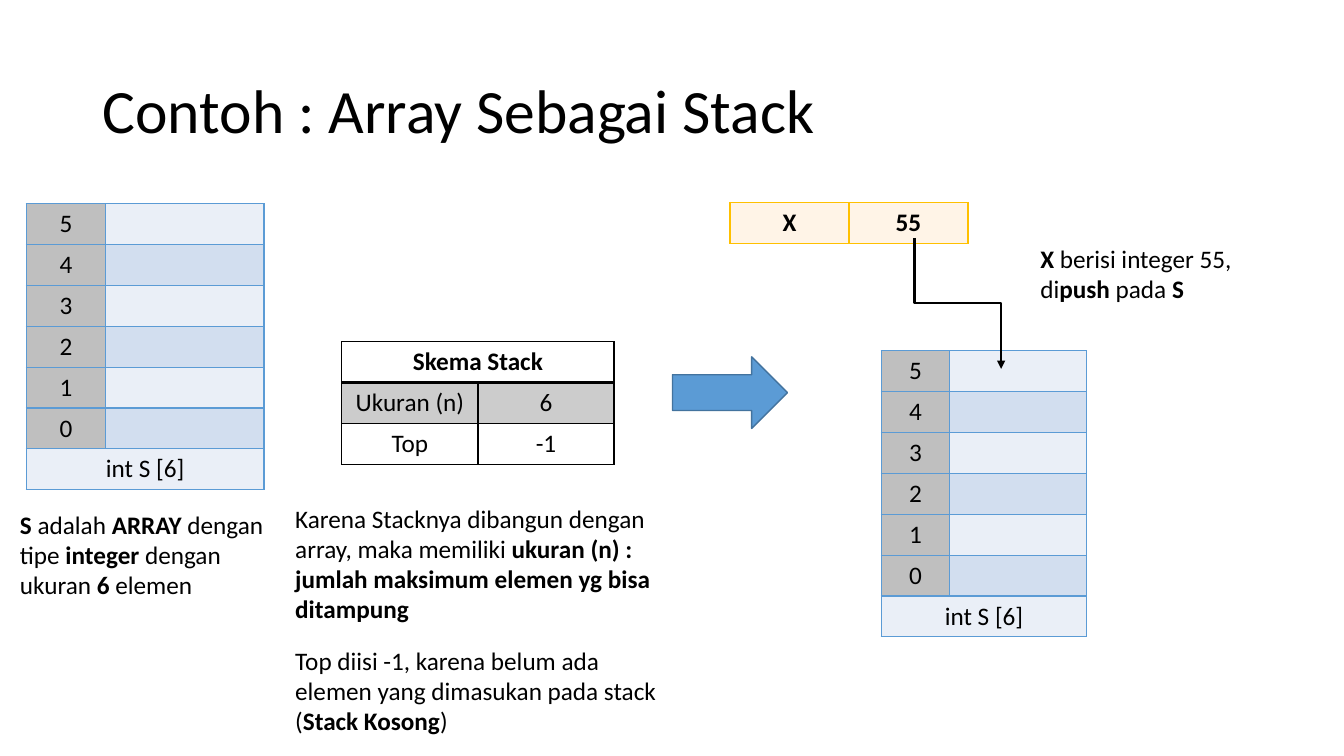
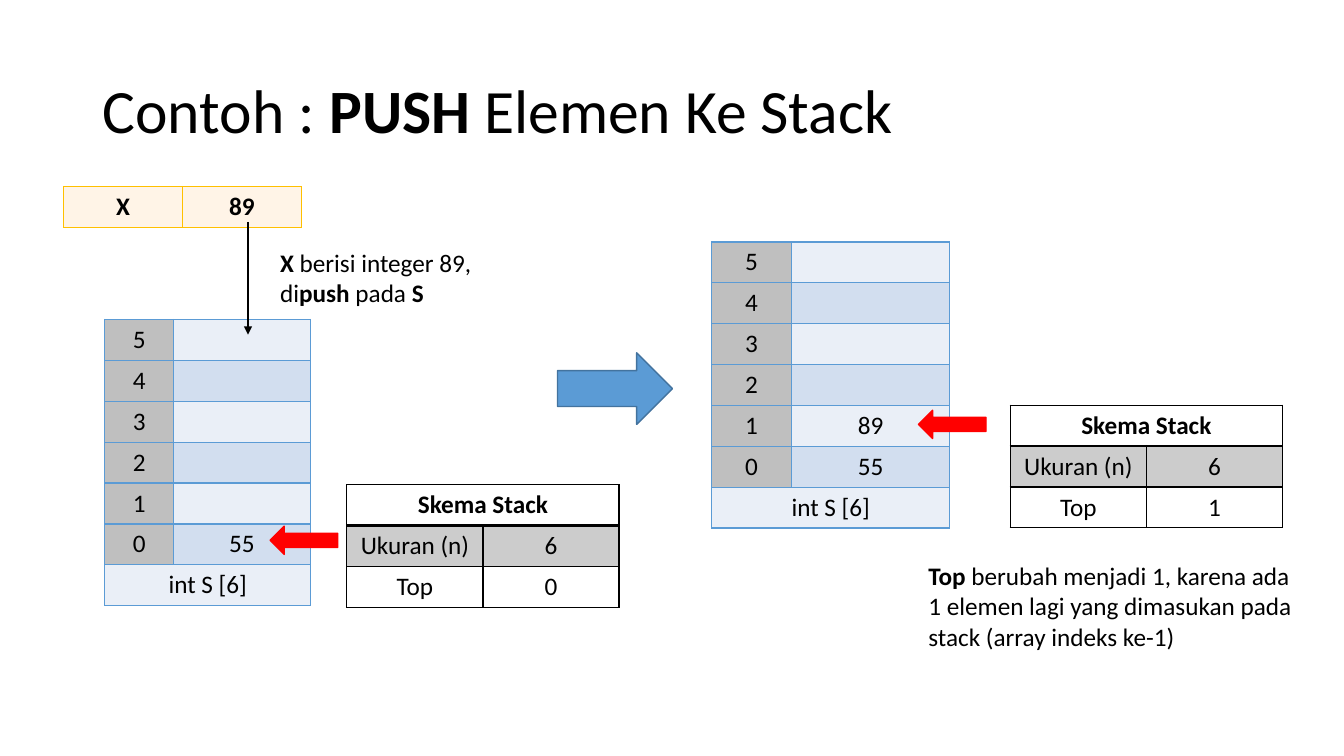
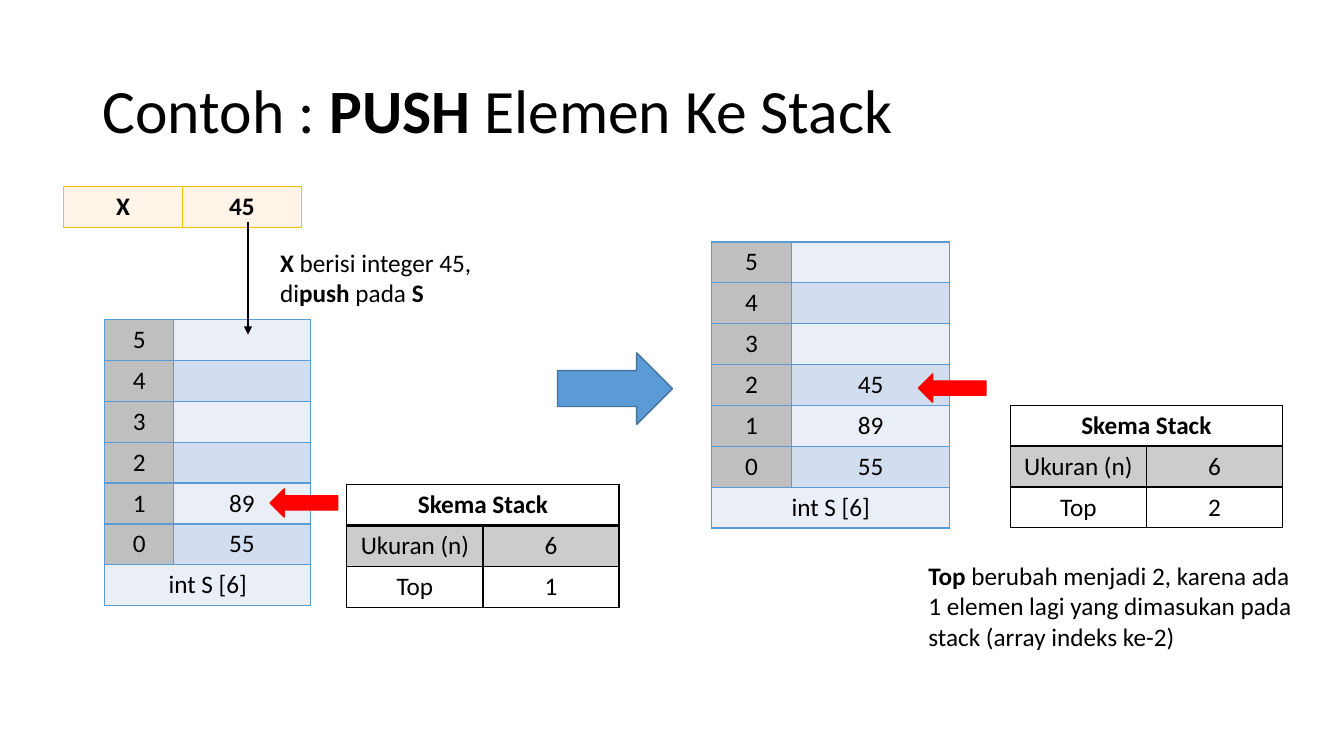
from lxml import etree
from pptx import Presentation
from pptx.dml.color import RGBColor
from pptx.enum.shapes import MSO_CONNECTOR, MSO_SHAPE
from pptx.enum.text import MSO_ANCHOR, MSO_AUTO_SIZE, PP_ALIGN
from pptx.oxml.ns import qn
from pptx.util import Inches, Pt

CENTER = PP_ALIGN.CENTER
MIDDLE = MSO_ANCHOR.MIDDLE
GROW = MSO_AUTO_SIZE.SHAPE_TO_FIT_TEXT
RIGHT_ARROW, LEFT_ARROW = MSO_SHAPE.RIGHT_ARROW, MSO_SHAPE.LEFT_ARROW
STRAIGHT, ELBOW = MSO_CONNECTOR.STRAIGHT, MSO_CONNECTOR.ELBOW

BLACK = RGBColor(0x00, 0x00, 0x00)
BLUE = RGBColor(0x5B, 0x9B, 0xD5)
DARK_BLUE = RGBColor(0x43, 0x73, 0x9E)
LIGHT_BAND = RGBColor(0xEA, 0xEF, 0xF7)
DARK_BAND = RGBColor(0xD2, 0xDE, 0xEF)
INDEX_GREY = RGBColor(0xBF, 0xBF, 0xBF)
GOLD = RGBColor(0xFF, 0xC0, 0x00)
CREAM = RGBColor(0xFF, 0xF4, 0xE7)
RED = RGBColor(0xFF, 0x00, 0x00)

FONT = "Calibri"
CAPACITY = 6
ROW_HEIGHT = 2.84 / (CAPACITY + 1)
WIDE_STACK, NARROW_STACK = (0.79, 1.57), (0.68, 1.36)

# Content: text between ** marks is bold
INTRO_TITLE = "Contoh : Array Sebagai Stack"
PUSH_TITLE = "Contoh : **PUSH **Elemen Ke Stack"
X_NOTE = "**X **berisi integer {x}, di**push **pada **S**"
TOP_NOTE = ("**Top **berubah menjadi {top}, karena ada 1 elemen lagi yang "
            "dimasukan pada stack (array indeks ke-{top})")
INTRO_NOTES = [  # left, top, width, height, text
    (0.1, 5, 2.8, 1.01, "**S **adalah **ARRAY **dengan tipe **integer **dengan "
                        "ukuran **6 **elemen"),
    (2.83, 4.94, 3.84, 1.31, "Karena Stacknya dibangun dengan array, maka memiliki "
                             "**ukuran (n) : jumlah maksimum elemen yg bisa ditampung**"),
    (2.83, 6.35, 3.84, 1.01, "Top diisi -1, karena belum ada elemen yang dimasukan "
                             "pada stack (**Stack Kosong**)"),
    (10.22, 2.36, 2.8, 0.71, X_NOTE.format(x=55)),
]
PUSHES = [  # the arrow tops point at the top element before and after
    {"stack": [55], "x": 89, "arrow_before": 5.22, "arrow_after": 4.07},
    {"stack": [55, 89], "x": 45, "arrow_before": 4.85, "arrow_after": 3.71},
]


def write(frame, text, size=18, align=None, spacing=None):
    paragraph = frame.paragraphs[0]
    if align is not None:
        paragraph.alignment = align
    if spacing is not None:
        paragraph.line_spacing = spacing
    for i, piece in enumerate(text.split("**")):
        if piece:
            run = paragraph.add_run()
            run.text = piece
            run.font.name = FONT
            run.font.size = Pt(size)
            run.font.bold = i % 2 == 1
            run.font.color.rgb = BLACK


def add_note(slide, left, top, width, height, text):
    box = slide.shapes.add_textbox(Inches(left), Inches(top), Inches(width), Inches(height))
    box.text_frame.word_wrap = True
    box.text_frame.auto_size = GROW
    write(box.text_frame, text)


def new_slide(deck, title):
    slide = deck.slides.add_slide(deck.slide_layouts[6])
    box = slide.shapes.add_textbox(Inches(0.92), Inches(0.4), Inches(11.5), Inches(1.45))
    box.text_frame.word_wrap = True
    box.text_frame.vertical_anchor = MIDDLE
    write(box.text_frame, title, size=44, spacing=0.9)
    return slide


def set_borders(cell, color, bottom=1):
    properties = cell._tc.get_or_add_tcPr()
    for side, width in (("L", 1), ("R", 1), ("T", 1), ("B", bottom)):
        line = etree.SubElement(properties, qn("a:ln" + side), w=str(Pt(width)))
        fill = etree.SubElement(line, qn("a:solidFill"))
        etree.SubElement(fill, qn("a:srgbClr"), val=str(color))


def set_fill(cell, color, alpha=None):
    if color is None:
        cell.fill.background()
        return
    cell.fill.solid()
    cell.fill.fore_color.rgb = color
    if alpha:
        # Only the cell's own fill, not the fills of its border lines
        shade = cell._tc.tcPr.find(qn("a:solidFill")).find(qn("a:srgbClr"))
        etree.SubElement(shade, qn("a:alpha"), val=str(alpha * 1000))


def add_grid(slide, left, top, widths, rows, border, fill_of, header_line=1):
    """rows holds cell texts; a row with one text spans all columns.
    fill_of(row, column) gives a colour and an alpha in percent."""
    table = slide.shapes.add_table(
        len(rows), len(widths), Inches(left), Inches(top),
        Inches(sum(widths)), Inches(ROW_HEIGHT * len(rows))).table
    table.first_row = table.horz_banding = False
    for column, width in zip(table.columns, widths):
        column.width = Inches(width)
    for r, texts in enumerate(rows):
        table.rows[r].height = Inches(ROW_HEIGHT)
        for c in range(len(widths)):
            cell = table.cell(r, c)
            set_borders(cell, border, header_line if r == 0 else 1)
            set_fill(cell, *fill_of(r, c))
            if c < len(texts):
                write(cell.text_frame, texts[c], align=CENTER)
        if len(texts) < len(widths):
            table.cell(r, 0).merge(table.cell(r, len(widths) - 1))


def add_stack(slide, left, top, widths, values=()):
    rows = [(str(i), str(values[i]) if i < len(values) else "")
            for i in reversed(range(CAPACITY))]
    rows.append((f"int S [{CAPACITY}]",))

    def fill_of(r, c):
        if c == 0 and r < CAPACITY:
            return (INDEX_GREY,)
        return (DARK_BAND if r % 2 else LIGHT_BAND,)

    add_grid(slide, left, top, widths, rows, BLUE, fill_of)


def add_schema(slide, left, top, stack_top):
    rows = [("**Skema Stack**",), ("Ukuran (n)", str(CAPACITY)), ("Top", str(stack_top))]
    add_grid(slide, left, top, (1.35, 1.35), rows, BLACK,
             lambda r, c: (BLACK, 20) if r == 1 else (None,), header_line=2)


def add_variable(slide, left, top, value):
    add_grid(slide, left, top, (1.18, 1.18), [("**X**", f"**{value}**")], GOLD,
             lambda r, c: (CREAM,))


def add_block_arrow(slide, kind, left, top, width, height, fill, line):
    arrow = slide.shapes.add_shape(kind, Inches(left), Inches(top), Inches(width), Inches(height))
    arrow.shadow.inherit = False
    arrow.fill.solid()
    arrow.fill.fore_color.rgb = fill
    arrow.line.color.rgb = line
    arrow.line.width = Pt(1)


def add_step_arrow(slide, left, top):
    add_block_arrow(slide, RIGHT_ARROW, left, top, 1.14, 0.71, BLUE, DARK_BLUE)


def add_top_arrow(slide, left, top):
    add_block_arrow(slide, LEFT_ARROW, left, top, 0.67, 0.28, RED, RED)


def add_push_line(slide, x1, y1, x2, y2):
    """Arrow that leaves downwards and arrives downwards."""
    if x1 == x2:
        line = slide.shapes.add_connector(STRAIGHT, Inches(x1), Inches(y1), Inches(x2), Inches(y2))
    else:
        # A mirrored elbow turned by 270 degrees about the same centre
        mid_x, mid_y = (x1 + x2) / 2, (y1 + y2) / 2
        half_w, half_h = (y2 - y1) / 2, (x2 - x1) / 2
        line = slide.shapes.add_connector(
            ELBOW, Inches(mid_x + half_w), Inches(mid_y - half_h),
            Inches(mid_x - half_w), Inches(mid_y + half_h))
        line.element.spPr.find(qn("a:xfrm")).set("rot", str(270 * 60000))
    line.line.color.rgb = BLACK
    line.line.width = Pt(1.5)
    outline = line.element.spPr.find(qn("a:ln"))
    etree.SubElement(outline, qn("a:tailEnd"), type="triangle")
    etree.SubElement(line.element.spPr, qn("a:effectLst"))


def build_intro(deck):
    slide = new_slide(deck, INTRO_TITLE)
    add_stack(slide, 0.26, 2.02, WIDE_STACK)
    add_schema(slide, 3.39, 3.39, -1)
    add_step_arrow(slide, 6.67, 3.54)
    add_stack(slide, 8.74, 3.48, NARROW_STACK)
    add_variable(slide, 7.24, 2.01, 55)
    add_push_line(slide, 9.07, 2.36, 9.93, 3.66)
    for note in INTRO_NOTES:
        add_note(slide, *note)


def build_push(deck, stack, x, arrow_before, arrow_after):
    slide = new_slide(deck, PUSH_TITLE)
    top_after = len(stack)
    # Before the push
    add_stack(slide, 1.04, 3.17, NARROW_STACK, stack)
    add_variable(slide, 0.63, 1.85, x)
    add_push_line(slide, 2.46, 2.2, 2.46, 3.32)
    add_note(slide, 2.68, 2.4, 2.11, 0.71, X_NOTE.format(x=x))
    add_top_arrow(slide, 2.68, arrow_before)
    add_schema(slide, 3.44, 4.81, top_after - 1)
    add_step_arrow(slide, 5.53, 3.5)
    # After the push
    add_stack(slide, 7.06, 2.4, WIDE_STACK, stack + [x])
    add_schema(slide, 10.02, 4.02, top_after)
    add_top_arrow(slide, 9.11, arrow_after)
    add_note(slide, 9.11, 5.51, 3.84, 1.01, TOP_NOTE.format(top=top_after))


def main():
    deck = Presentation()
    deck.slide_width, deck.slide_height = Inches(13.33), Inches(7.5)
    build_intro(deck)
    for push in PUSHES:
        build_push(deck, **push)
    deck.save("out.pptx")


if __name__ == "__main__":
    main()
